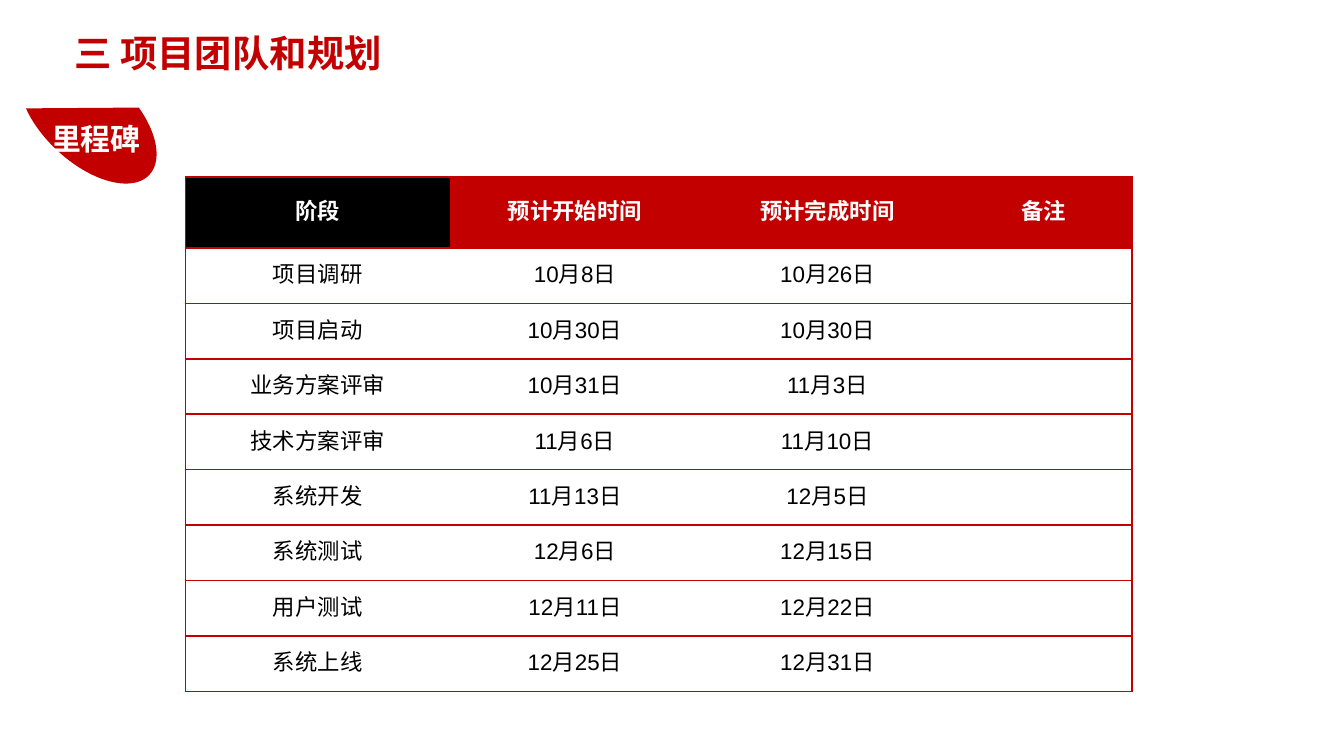
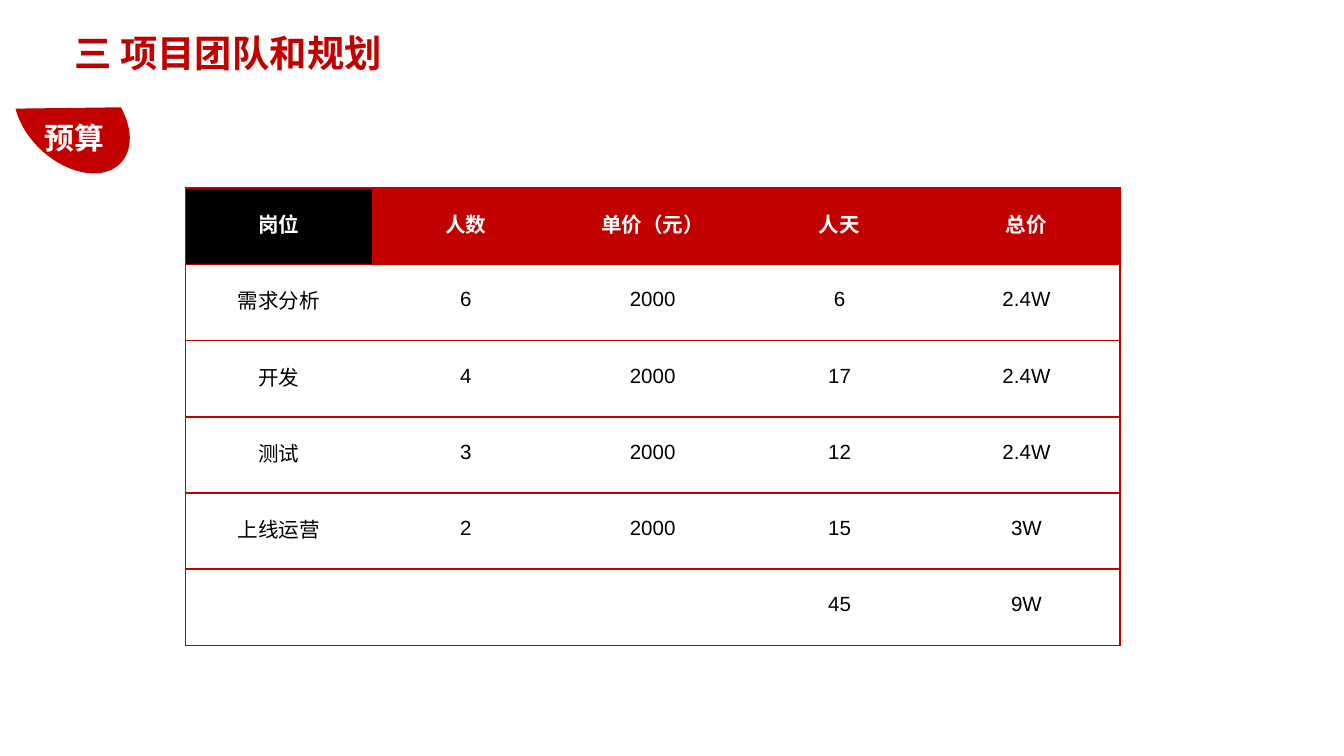
from lxml import etree
from pptx import Presentation, util as u
from pptx.dml.color import RGBColor
from pptx.enum import shapes, text
from pptx.oxml.ns import qn

HUES = {"red": "C30000", "black": "000000", "white": "FFFFFF"}
FONT = "Arial"
WIDE = u.Inches(10)
HIGH = WIDE * 9 // 16
TITLE = "三 项目团队和规划"

STAGES = [
    ["阶段", "预计开始时间", "预计完成时间", "备注"],
    ["项目调研", "10月8日", "10月26日", ""],
    ["项目启动", "10月30日", "10月30日", ""],
    ["业务方案评审", "10月31日", "11月3日", ""],
    ["技术方案评审", "11月6日", "11月10日", ""],
    ["系统开发", "11月13日", "12月5日", ""],
    ["系统测试", "12月6日", "12月15日", ""],
    ["用户测试", "12月11日", "12月22日", ""],
    ["系统上线", "12月25日", "12月31日", ""],
]
COSTS = [
    ["岗位", "人数", "单价（元）", "人天", "总价"],
    ["需求分析", "6", "2000", "6", "2.4W"],
    ["开发", "4", "2000", "17", "2.4W"],
    ["测试", "3", "2000", "12", "2.4W"],
    ["上线运营", "2", "2000", "15", "3W"],
    ["", "", "", "45", "9W"],
]


def hue(name):
    """Return the named colour."""
    return RGBColor.from_string(HUES[name])


def place(box):
    """Turn percentages of the slide into left, top, width and height."""
    return [int(part * side / 100) for part, side in zip(box, (WIDE, HIGH) * 2)]


def write(para, words, size, tone, bold=True):
    """Add one formatted run to a paragraph."""
    run = para.add_run()
    run.text = words
    run.font.name, run.font.size, run.font.bold = FONT, u.Pt(size), bold
    run.font.color.rgb = hue(tone)


def head(slide, box):
    """Place the title."""
    title = slide.shapes.title
    title.left, title.top, title.width, title.height = place(box)
    frame = title.text_frame
    frame.auto_size = text.MSO_AUTO_SIZE.NONE
    frame.vertical_anchor = text.MSO_ANCHOR.TOP
    para = frame.paragraphs[0]
    para.alignment = text.PP_ALIGN.LEFT
    write(para, TITLE, 20, "red")


def tag(slide, leaf, box, words):
    """Draw a tilted leaf with its label."""
    group = slide.shapes.add_group_shape().shapes
    chord = group.add_shape(shapes.MSO_SHAPE.CHORD, *place(leaf))
    chord.rotation = 313
    chord.adjustments[0], chord.adjustments[1] = 21.54, 141.24
    chord.shadow.inherit = False
    chord.fill.solid()
    chord.fill.fore_color.rgb = hue("red")
    chord.line.fill.background()
    frame = group.add_textbox(*place(box)).text_frame
    frame.word_wrap = True
    write(frame.paragraphs[0], words, 16, "white")


def edge(cell, sides):
    """Rule the given sides of a cell and clear the others."""
    props = cell._tc.get_or_add_tcPr()
    for side in "LRTB":
        line = etree.SubElement(props, qn(f"a:ln{side}"), w=str(u.Pt(1)))
        if side in sides:
            fill = etree.SubElement(line, qn("a:solidFill"))
            etree.SubElement(fill, qn("a:srgbClr"), val=HUES["red"])
        else:
            etree.SubElement(line, qn("a:noFill"))


def fill_cell(cell, words, size, first, top, last):
    """Format one cell by its place in the table."""
    edge(cell, "TB" + "L" * first + "R" * last)
    cell.fill.solid()
    tone = ("black" if first else "red") if top else "white"
    cell.fill.fore_color.rgb = hue(tone)
    cell.margin_left = cell.margin_right = cell.margin_top = u.Inches(0.01)
    cell.margin_bottom = u.Inches(0.05)
    cell.vertical_anchor = text.MSO_ANCHOR.MIDDLE
    para = cell.text_frame.paragraphs[0]
    para.alignment = text.PP_ALIGN.CENTER
    if words:
        write(para, words, size, "white" if top else "black", top)


def grid(slide, box, data, size, cols, lead):
    """Draw a table with column weights and a header weight."""
    left, top, width, height = place(box)
    table = slide.shapes.add_table(
        len(data), len(cols), left, top, width, height).table
    table.horz_banding = False
    rows = [lead] + [1] * (len(data) - 1)
    for col, share in zip(table.columns, cols):
        col.width = int(width * share / sum(cols))
    for row, share in zip(table.rows, rows):
        row.height = int(height * share / sum(rows))
    for r, line in enumerate(data):
        for c, words in enumerate(line):
            fill_cell(table.cell(r, c), words, size,
                      c == 0, r == 0, c == len(cols) - 1)


def page(deck, sheet, label):
    """Add a slide with its title, table and tag."""
    slide = deck.slides.add_slide(deck.slide_layouts[5])
    head(slide, (4.53, 3.1, 72.6, 10.5))
    grid(slide, *sheet)
    tag(slide, *label)


def main():
    """Build and save the deck."""
    deck = Presentation()
    deck.slide_width, deck.slide_height = WIDE, HIGH
    page(deck,
         ((13.8, 23.4, 70.45, 68.1), STAGES, 12, (1.97, 1.86, 1.9, 1.32), 1.28),
         ((3.2, 4.44, 6.7, 22.22), (2.83, 15.1, 9.4, 11.4), "里程碑"))
    page(deck,
         ((13.8, 24.9, 69.54, 60.5), COSTS, 11, (1,) * 5, 1),
         ((2, 6.58, 6.7, 17.78), (2.33, 14.95, 7.5, 6.6), "预算"))
    deck.save("out.pptx")


if __name__ == "__main__":
    main()
